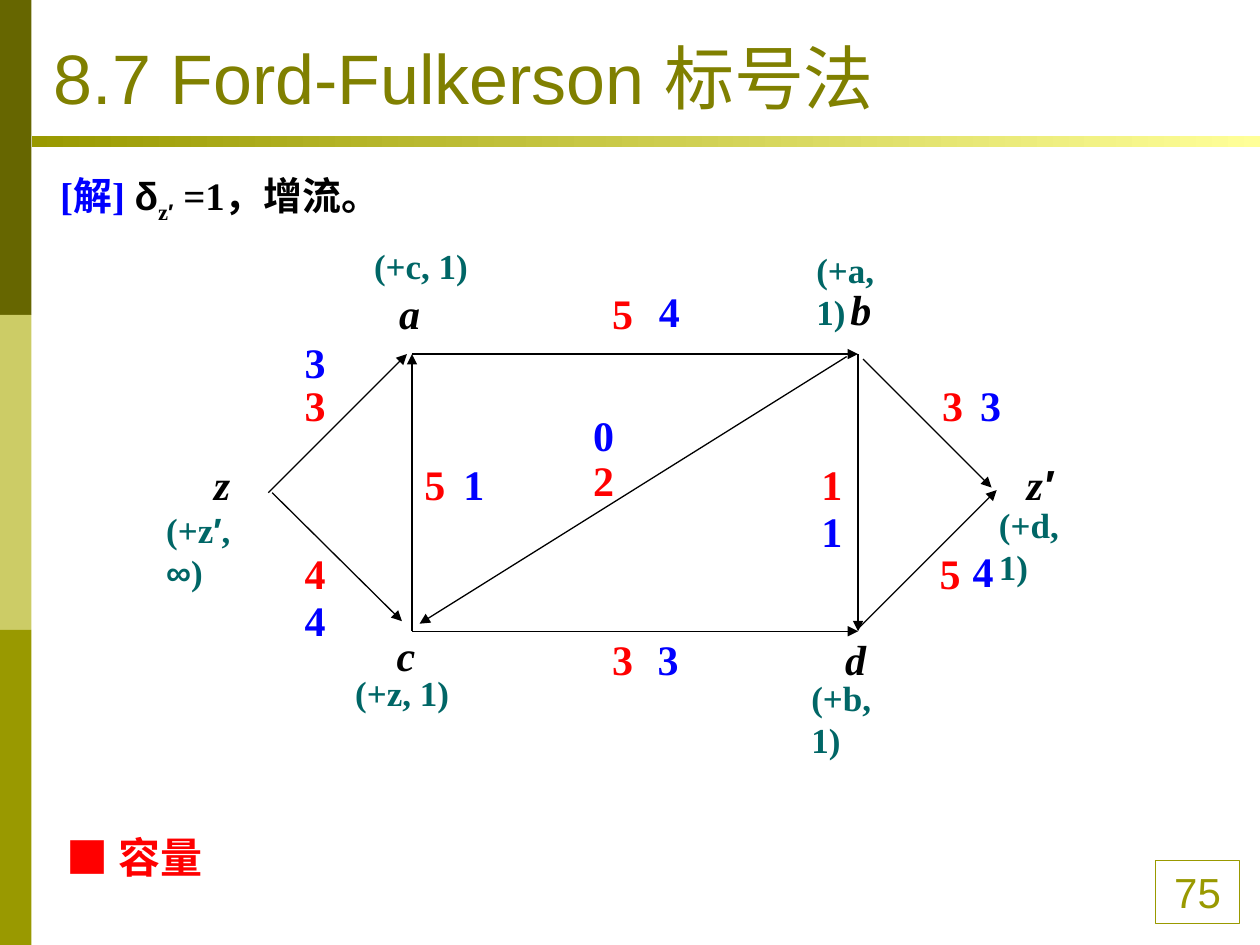
from lxml.etree import SubElement
from pptx import Presentation
from pptx.dml.color import RGBColor
from pptx.enum.shapes import MSO_CONNECTOR, MSO_SHAPE
from pptx.enum.text import MSO_ANCHOR, PP_ALIGN
from pptx.oxml.ns import qn
from pptx.util import Inches, Pt

SERIF, SANS = "Times New Roman", "Arial"
BLACK, BLUE, RED = "000000", "0000FF", "FF0000"
OLIVE, DARK_OLIVE, PALE_OLIVE, PALE_YELLOW = "999900", "666600", "CCCC66", "FFFF99"
THEME = {
    "title": {"name": SANS, "size": Pt(40), "color": "808000"},
    "page": {"name": SANS, "size": Pt(24), "color": OLIVE},
    "lead": {"name": SERIF, "size": Pt(22.2), "bold": True, "color": BLUE},
    "legend": {"name": SERIF, "size": Pt(24), "bold": True, "color": RED},
    "node": {"name": SERIF, "size": Pt(24), "bold": True, "italic": True, "color": BLACK},
    "capacity": {"name": SERIF, "size": Pt(24), "bold": True, "color": RED},
    "flow": {"name": SERIF, "size": Pt(24), "bold": True, "color": BLUE},
    "mark": {"name": SERIF, "size": Pt(20), "bold": True, "color": "006666"},
}
SYMBOL = {"name": SANS}

prs = Presentation()
prs.slide_width, prs.slide_height = Inches(10), Inches(7.5)
s = prs.slides.add_slide(prs.slide_layouts[6])


def write(sp, runs, style):
    tf = sp.text_frame
    tf.word_wrap = True
    p = tf.paragraphs[0]
    for text, changes in runs:
        r = p.add_run()
        r.text = text
        for key, value in (THEME[style] | changes).items():
            if key == "color":
                r.font.color.rgb = RGBColor.from_string(value)
            elif key == "baseline":
                r._r.get_or_add_rPr().set("baseline", value)
            else:
                setattr(r.font, key, value)
    return tf


def add_text(x, y, w, h, runs, style):
    if isinstance(runs, str):
        runs = [(runs, {})]
    sp = s.shapes.add_textbox(Inches(x), Inches(y), Inches(w), Inches(h))
    return write(sp, runs, style)


for i, color in enumerate((DARK_OLIVE, PALE_OLIVE, OLIVE)):
    sp = s.shapes.add_shape(MSO_SHAPE.RECTANGLE, 0, Inches(2.5 * i), Inches(0.25), Inches(2.5))
    sp.shadow.inherit = False
    sp.fill.solid()
    sp.fill.fore_color.rgb = RGBColor.from_string(color)
    sp.line.fill.background()

page = s.shapes.add_shape(MSO_SHAPE.RECTANGLE, Inches(9.17), Inches(6.83), Inches(0.67), Inches(0.5))
page.shadow.inherit = False
page.fill.background()
page.line.color.rgb = RGBColor.from_string(OLIVE)
page.line.width = Pt(0.75)
tf = write(page, [("75", {})], "page")
tf.vertical_anchor = MSO_ANCHOR.TOP
tf.paragraphs[0].alignment = PP_ALIGN.CENTER

rule = s.shapes.add_shape(MSO_SHAPE.RECTANGLE, Inches(0.25), Inches(1.08), Inches(9.75), Inches(0.09))
rule.shadow.inherit = False
rule.line.fill.background()
rule.fill.gradient()
rule.fill.gradient_angle = 0
for stop, color in zip(rule.fill.gradient_stops, (OLIVE, PALE_YELLOW)):
    stop.color.rgb = RGBColor.from_string(color)

tf = add_text(0.33, 0.13, 9, 0.86, "8.7 Ford-Fulkerson 标号法", "title")
tf.vertical_anchor = MSO_ANCHOR.BOTTOM

black, sub = {"color": BLACK}, {"color": BLACK, "baseline": "-25000"}
tf = add_text(0.38, 1.23, 5.26, 0.63, [
    ("[解] ", {}), ("δ", black | SYMBOL), ("z", sub), ("′", sub | SYMBOL), (" =1，增流。", black),
], "lead")
tf.paragraphs[0].line_spacing = 1.2

tf = add_text(0.43, 6.43, 3.62, 0.63, [("■", SYMBOL), (" 容量", {})], "legend")
tf.paragraphs[0].line_spacing = 1.3

left, right, top, bottom = 3.27, 6.81, 2.81, 5.01
edges = [
    (left, top, right, top),
    (left, bottom, right, bottom),
    (left, bottom, left, top),
    (right, top, right, bottom),
    (6.72, 2.83, 3.33, 4.95),
    (2.13, 3.91, 3.23, 2.81),
    (6.81, 4.99, 7.91, 3.89),
    (2.16, 3.91, 3.19, 4.93),
    (6.85, 2.85, 7.87, 3.87),
]
for edge in edges:
    line = s.shapes.add_connector(MSO_CONNECTOR.STRAIGHT, *map(Inches, edge))
    line.line.color.rgb = RGBColor.from_string(BLACK)
    line.line.width = Pt(0.75)
    SubElement(line.line._get_or_add_ln(), qn("a:tailEnd"), type="triangle")
    SubElement(line._element.spPr, qn("a:effectLst"))

labels = {
    ("node", 0.47, 0.5): [
        (3.07, 2.23, "a"), (6.65, 2.2, "b"), (6.61, 4.98, "d"), (3.05, 4.95, "c"),
        (1.6, 3.59, "z"), (8.05, 3.59, [("z", {}), ("′", SYMBOL)]),
    ],
    ("capacity", 0.47, 0.5): [
        (4.76, 2.23, "5"), (4.76, 4.98, "3"), (4.61, 3.56, "2"),
        (3.27, 3.59, "5"), (6.42, 3.59, "1"), (7.38, 2.96, "3"),
        (7.36, 4.3, "5"), (2.32, 2.96, "3"), (2.32, 4.3, "4"),
    ],
    ("flow", 0.39, 0.5): [
        (5.13, 2.22, "4"), (5.12, 4.98, "3"), (4.61, 3.2, "0"),
        (3.58, 3.59, "1"), (6.42, 3.96, "1"), (7.68, 2.96, "3"),
        (7.62, 4.28, "4"), (2.32, 2.62, "3"), (2.32, 4.67, "4"),
    ],
    ("mark", 0.95, 0.44): [(2.87, 1.89, "(+c, 1)"), (2.72, 5.28, "(+z, 1)")],
    ("mark", 0.95, 0.77): [
        (6.38, 1.92, "(+a, 1)"), (6.34, 5.32, "(+b, 1)"), (7.83, 3.95, "(+d, 1)"),
    ],
    ("mark", 1.02, 0.77): [
        (1.22, 3.99, [("(+z", {}), ("′", SYMBOL), (", ", {}), ("∞", SYMBOL), (")", {})]),
    ],
}
for (style, w, h), items in labels.items():
    for x, y, runs in items:
        add_text(x, y, w, h, runs, style)

prs.save("out.pptx")
